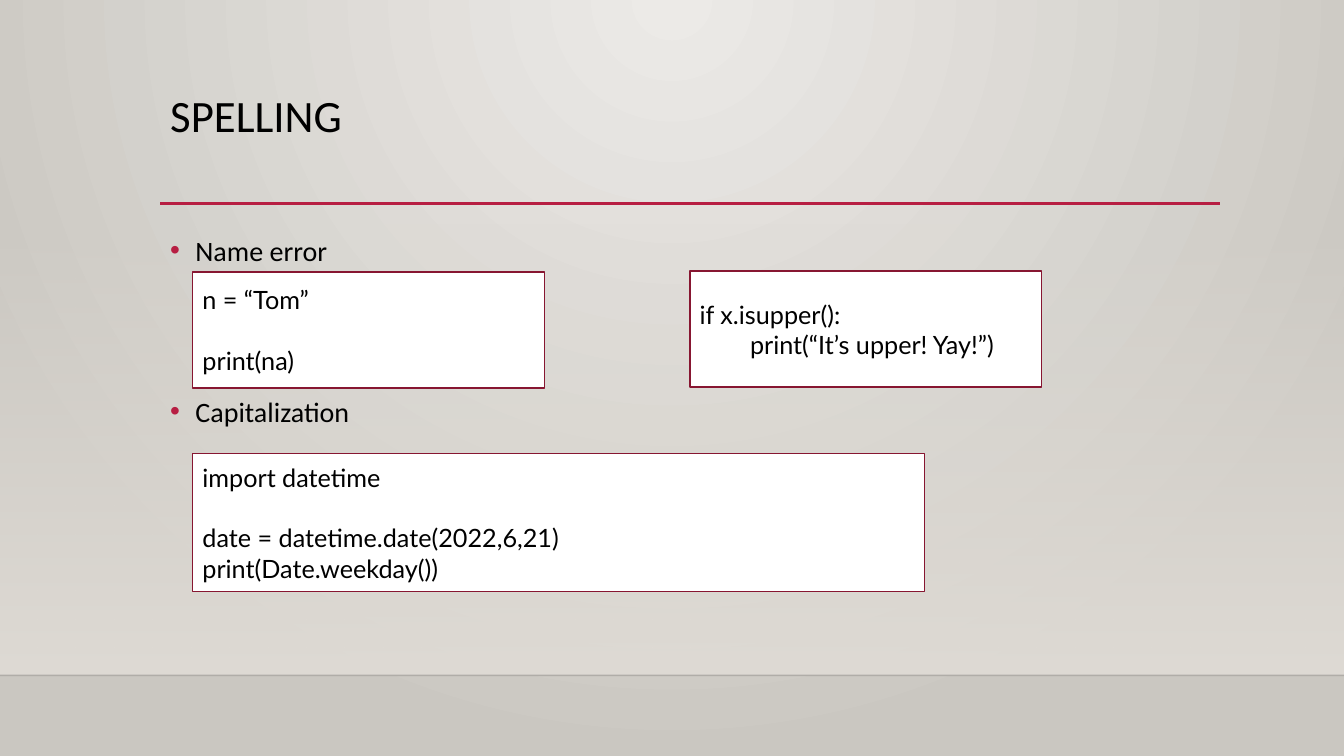
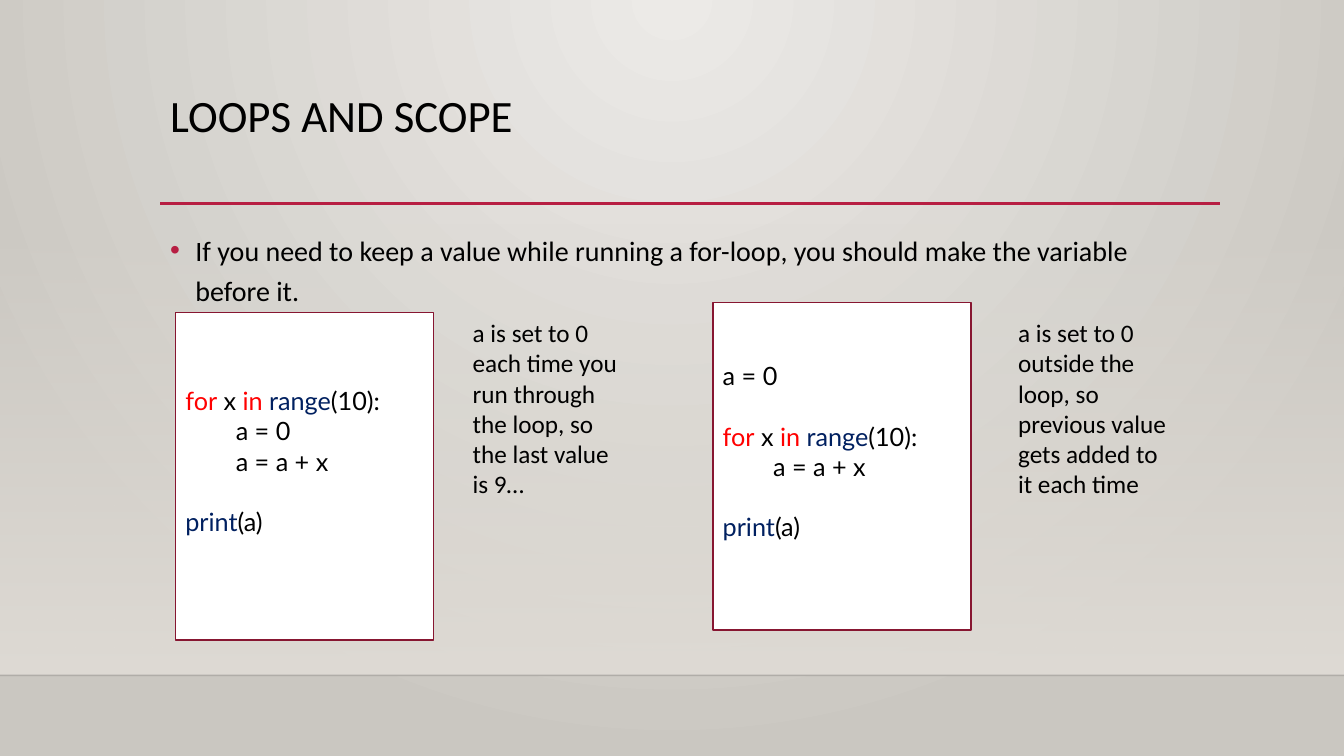
from lxml import etree
from pptx import Presentation
from pptx import util as u
from pptx.dml.color import RGBColor
from pptx.enum import shapes, text
from pptx.oxml import ns

COLORS = {
    "ink": "000000", "white": "FFFFFF", "accent": "B71E42", "border": "871631",
    "glow": "ECEAE7", "edge": "CAC7C1", "haze": "DFDBD5",
    "keyword": "FF0000", "builtin": "002060",
}
WIDTH, HEIGHT = 13.33, 7.5
TITLE_BOX = (1.59, 0.88, 10.5, 1.15)
BODY_BOX = (1.59, 2.2, 10.5, 3.77)
FLOOR_Y = 6.7
CODE_LINE = 21.6  # points, height of one line of code
INSET = 0.05

LOOP_HEAD = [("for", "keyword"), (" x ", "ink"), ("in ", "keyword"),
             ("range", "builtin"), ("(10):", "ink")]
PRINT_A = [("print", "builtin"), ("(a)", "ink")]


def rgb(name):
    return RGBColor.from_string(COLORS[name])


def inches(box):
    return [u.Inches(v) for v in box]


def add_xml(parent, tag, **attrs):
    return etree.SubElement(parent, ns.qn(tag), attrs)


def set_alpha(color, percent):
    add_xml(color, "a:alpha", val=str(percent * 1000))


def set_font(p, name, size):
    p.font.name = name
    p.font.size = u.Pt(size)
    p.font.color.rgb = rgb("ink")


def set_stops(fill, names):
    fill.gradient()
    for stop, name, position in zip(fill.gradient_stops, names, (0, 1)):
        stop.color.rgb = rgb(name)
        stop.position = position


def add_background(s):
    """Radial glow that spreads from the top centre."""
    set_stops(s.background.fill, ("glow", "edge"))
    grad = s.element.xpath(".//p:bg//a:gradFill")[0]
    for lin in grad.xpath("a:lin"):
        grad.remove(lin)
    path = etree.Element(ns.qn("a:path"), path="circle")
    add_xml(path, "a:fillToRect", l="43000", t="0", r="43000", b="100000")
    grad.xpath("a:gsLst")[0].addnext(path)


def add_haze(s, box):
    """Band that fades in from clear at its top."""
    sp = s.shapes.add_shape(shapes.MSO_SHAPE.RECTANGLE, *inches(box))
    sp.shadow.inherit = False
    sp.line.fill.background()
    set_stops(sp.fill, ("haze", "haze"))
    sp.fill.gradient_angle = 270
    set_alpha(sp.element.xpath(".//a:gs/a:srgbClr")[0], 0)


def add_rule(s, left, right, y, color, width, alpha=100):
    line = s.shapes.add_connector(
        shapes.MSO_CONNECTOR.STRAIGHT, *inches((left, y, right, y)))
    line.line.color.rgb = rgb(color)
    line.line.width = u.Pt(width)
    if alpha < 100:
        set_alpha(line.element.xpath(".//a:ln//a:srgbClr")[0], alpha)
    add_xml(line.element.spPr, "a:effectLst")


def add_text_box(s, box):
    sp = s.shapes.add_textbox(*inches(box))
    sp.text_frame.word_wrap = True
    return sp.text_frame


def add_title(s, box, title):
    p = add_text_box(s, box).paragraphs[0]
    p.text = title
    p.line_spacing = 0.9
    set_font(p, "Calibri", 32)


def add_bullets(s, box, items, gap):
    tf = add_text_box(s, box)
    for i, item in enumerate(items):
        p = tf.add_paragraph() if i else tf.paragraphs[0]
        p.text = item
        p.line_spacing = 1.2
        if i:
            p.space_before = u.Pt(gap)
        pPr = p._p.get_or_add_pPr()
        pPr.set("marL", str(u.Inches(0.25)))
        pPr.set("indent", str(u.Inches(-0.25)))
        add_xml(add_xml(pPr, "a:buClr"), "a:srgbClr", val=COLORS["accent"])
        add_xml(pPr, "a:buFont", typeface="Arial")
        add_xml(pPr, "a:buChar", char="•")
        set_font(p, "Calibri", 20)


def add_code(s, box, lines):
    """Each line is a string or a list of (text, colour); None leaves a line free."""
    sp = s.shapes.add_shape(shapes.MSO_SHAPE.RECTANGLE, *inches(box))
    sp.shadow.inherit = False
    sp.fill.solid()
    sp.fill.fore_color.rgb = rgb("white")
    sp.line.color.rgb = rgb("border")
    sp.line.width = u.Pt(1.25)
    tf = sp.text_frame
    tf.word_wrap = True
    tf.vertical_anchor = text.MSO_ANCHOR.MIDDLE
    p, free = None, 0
    for line in lines:
        if line is None:
            free += 1
            continue
        p = tf.add_paragraph() if p else tf.paragraphs[0]
        p.alignment = text.PP_ALIGN.LEFT
        if free:
            p.space_before = u.Pt(free * CODE_LINE)
        free = 0
        tabs = add_xml(p._p.get_or_add_pPr(), "a:tabLst")
        add_xml(tabs, "a:tab", pos=str(u.Inches(0.5)), algn="l")
        set_font(p, "Lato", 18)
        for part, color in [(line, "ink")] if isinstance(line, str) else line:
            r = p.add_run()
            r.text = part
            r.font.color.rgb = rgb(color)
    tf.margin_bottom = u.Inches(INSET) + u.Pt(free * CODE_LINE)


def add_note(s, box, note):
    tf = add_text_box(s, box)
    tf.auto_size = text.MSO_AUTO_SIZE.SHAPE_TO_FIT_TEXT
    p = tf.paragraphs[0]
    p.text = note
    set_font(p, "Calibri", 18)


def add_slide(prs, title, bullets, gap=10):
    s = prs.slides.add_slide(prs.slide_layouts[6])
    add_background(s)
    add_haze(s, (0, 2.21, WIDTH, FLOOR_Y - 2.21))
    add_rule(s, 0, WIDTH, FLOOR_Y, "ink", 1, alpha=20)
    add_rule(s, 1.59, 12.1, 2.02, "accent", 2.5)
    add_title(s, TITLE_BOX, title)
    add_bullets(s, BODY_BOX, bullets, gap)
    return s


def spelling_slide(prs):
    s = add_slide(prs, "SPELLING", ["Name error", "Capitalization"], gap=86)
    add_code(s, (1.91, 2.7, 3.49, 1.15), ["n = “Tom”", None, "print(na)"])
    add_code(s, (1.91, 4.5, 7.26, 1.37),
             ["import datetime", None, "date = datetime.date(2022,6,21)",
              "print(Date.weekday())"])
    add_code(s, (6.84, 2.69, 3.49, 1.15),
             ["if x.isupper():", "\tprint(“It’s upper! Yay!”)"])


def add_example(s, left, top, note_left, lines, note):
    """Loop code with its remark to the right."""
    add_code(s, (left, top, 2.56, 3.25), lines)
    add_note(s, (note_left, 3.1, 1.67, 1.92), note)


def loops_slide(prs):
    s = add_slide(prs, "LOOPS AND SCOPE",
                  ["If you need to keep a value while running a for-loop, "
                   "you should make the variable before it."])
    add_example(s, 1.74, 3.1, 4.59,
                [LOOP_HEAD, "\ta = 0", "\ta = a + x", None, PRINT_A, None],
                "a is set to 0 each time you run through the loop, "
                "so the last value is 9…")
    add_example(s, 7.07, 3, 10,
                ["a = 0", None, LOOP_HEAD, "\ta = a + x", None, PRINT_A, None],
                "a is set to 0 outside the loop, "
                "so previous value gets added to it each time")


def main():
    prs = Presentation()
    prs.slide_width, prs.slide_height = inches((WIDTH, HEIGHT))
    spelling_slide(prs)
    loops_slide(prs)
    prs.save("out.pptx")


if __name__ == "__main__":
    main()
